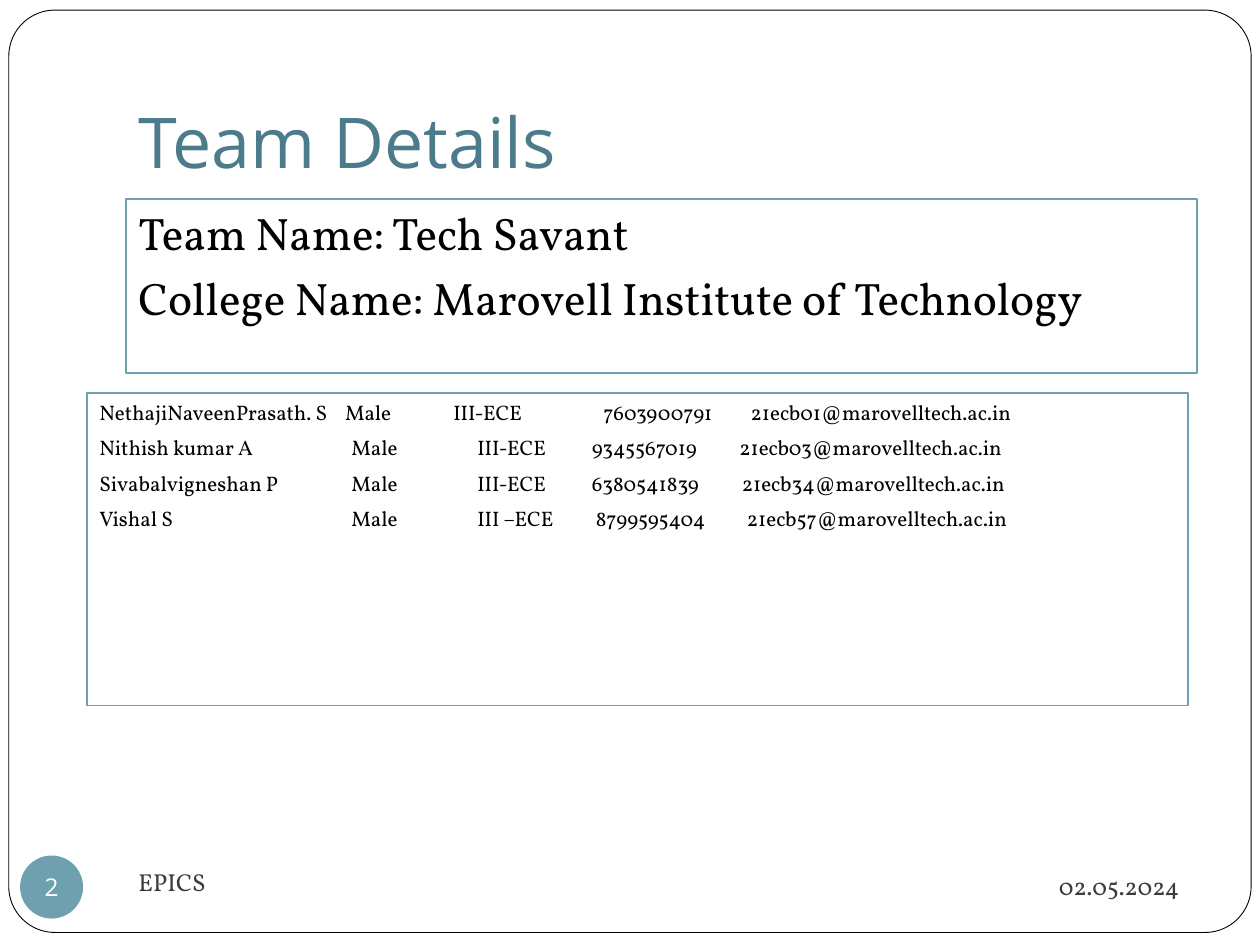
"""Build the team details slide with its team, member and footer boxes."""
from lxml import etree
from pptx import Presentation
from pptx.dml.color import RGBColor
from pptx.enum.shapes import MSO_SHAPE
from pptx.enum.text import MSO_ANCHOR, PP_ALIGN
from pptx.oxml.ns import qn
from pptx.util import Inches, Pt

RECT, ROUNDED, OVAL = MSO_SHAPE.RECTANGLE, MSO_SHAPE.ROUNDED_RECTANGLE, MSO_SHAPE.OVAL
TOP, MIDDLE, BOTTOM = MSO_ANCHOR.TOP, MSO_ANCHOR.MIDDLE, MSO_ANCHOR.BOTTOM
LEFT, CENTER, RIGHT = PP_ALIGN.LEFT, PP_ALIGN.CENTER, PP_ALIGN.RIGHT
COLORS = {"white": "FFFFFF", "black": "000000", "title": "4C7C8B",
          "accent": "6EA0B0", "footer": "3B3B3B"}
HEADING, BODY = "Open Sans", "Vollkorn"

deck = Presentation()
deck.slide_width, deck.slide_height = Inches(10), Inches(7.5)
COLUMN, ROW = deck.slide_width / 100, deck.slide_height / 100
slide = deck.slides.add_slide(deck.slide_layouts[6])


def add_panel(preset, left, top, width, height, fill=None, line=None, weight=0.75):
    panel = slide.shapes.add_shape(preset, round(left * COLUMN), round(top * ROW),
                                   round(width * COLUMN), round(height * ROW))
    panel.shadow.inherit = False
    if fill:
        panel.fill.solid()
        panel.fill.fore_color.rgb = RGBColor.from_string(COLORS[fill])
    else:
        panel.fill.background()
    if line:
        panel.line.color.rgb = RGBColor.from_string(COLORS[line])
        panel.line.width = Pt(weight)
    else:
        panel.line.fill.background()
    return panel


def write(panel, lines, size, font=BODY, color="black", align=LEFT, anchor=TOP,
          before=0, insets=(0.1, 0.05, 0.1, 0.05), wrap=True, stops=()):
    frame = panel.text_frame
    frame.word_wrap, frame.vertical_anchor = wrap, anchor
    (frame.margin_left, frame.margin_top,
     frame.margin_right, frame.margin_bottom) = map(Inches, insets)
    for index, line in enumerate(lines):
        paragraph = frame.paragraphs[0] if index == 0 else frame.add_paragraph()
        paragraph.alignment, paragraph.space_before = align, Pt(before)
        run = paragraph.add_run()
        run.text = line
        run.font.size, run.font.name = Pt(size), font
        run.font.color.rgb = RGBColor.from_string(COLORS[color])
        if stops:
            tabs = etree.SubElement(paragraph._p.get_or_add_pPr(), qn("a:tabLst"))
            for stop in stops[index]:
                etree.SubElement(tabs, qn("a:tab"), pos=str(Inches(stop)), algn="l")


border = add_panel(ROUNDED, 0.7, 1.07, 98.6, 97.6, fill="white", line="black", weight=0.5)
border.adjustments[0] = 0.05

title = add_panel(RECT, 10, 4, 85, 16.67)
write(title, ["Team Details"], 40, font=HEADING, color="title", anchor=BOTTOM,
      insets=(0.1, 0.05, 0.1, 0.1))

team = add_panel(RECT, 10, 21.07, 85, 18.4, line="accent")
write(team, ["Team Name: Tech Savant", "College Name: Marovell Institute of Technology"],
      26, before=5.8)

date = add_panel(RECT, 67.5, 90.27, 27.1, 6.93)
write(date, ["02.05.2024"], 14, color="footer", align=RIGHT, anchor=MIDDLE)

event = add_panel(RECT, 10, 90, 43.3, 6.67)
write(event, ["EPICS"], 14, color="footer", anchor=MIDDLE)

page_number = add_panel(OVAL, 1.6, 90.53, 5, 6.67, fill="accent")
write(page_number, ["2"], 14, font=HEADING, color="white", align=CENTER, anchor=MIDDLE,
      insets=(0, 0, 0, 0), wrap=False)

members = [
    ("NethajiNaveenPrasath. S", "III-ECE", "7603900791", "01", (1.95, 2.81, 4, 5.17)),
    ("Nithish kumar A", "III-ECE", "9345567019", "03", (2, 3, 3.91, 5.08)),
    ("Sivabalvigneshan P", "III-ECE", "6380541839", "34", (2, 3, 3.91, 5.1)),
    ("Vishal S", "III –ECE", "8799595404", "57", (2, 3, 3.94, 5.14)),
]
member_lines = [f"{name}\tMale\t{year}\t{phone}\t21ecb{number}@marovelltech.ac.in"
                for name, year, phone, number, _ in members]
roster = add_panel(RECT, 6.9, 41.6, 87.4, 33.07, line="accent")
write(roster, member_lines, 12, before=5.8, stops=[member[-1] for member in members])

deck.save("out.pptx")
